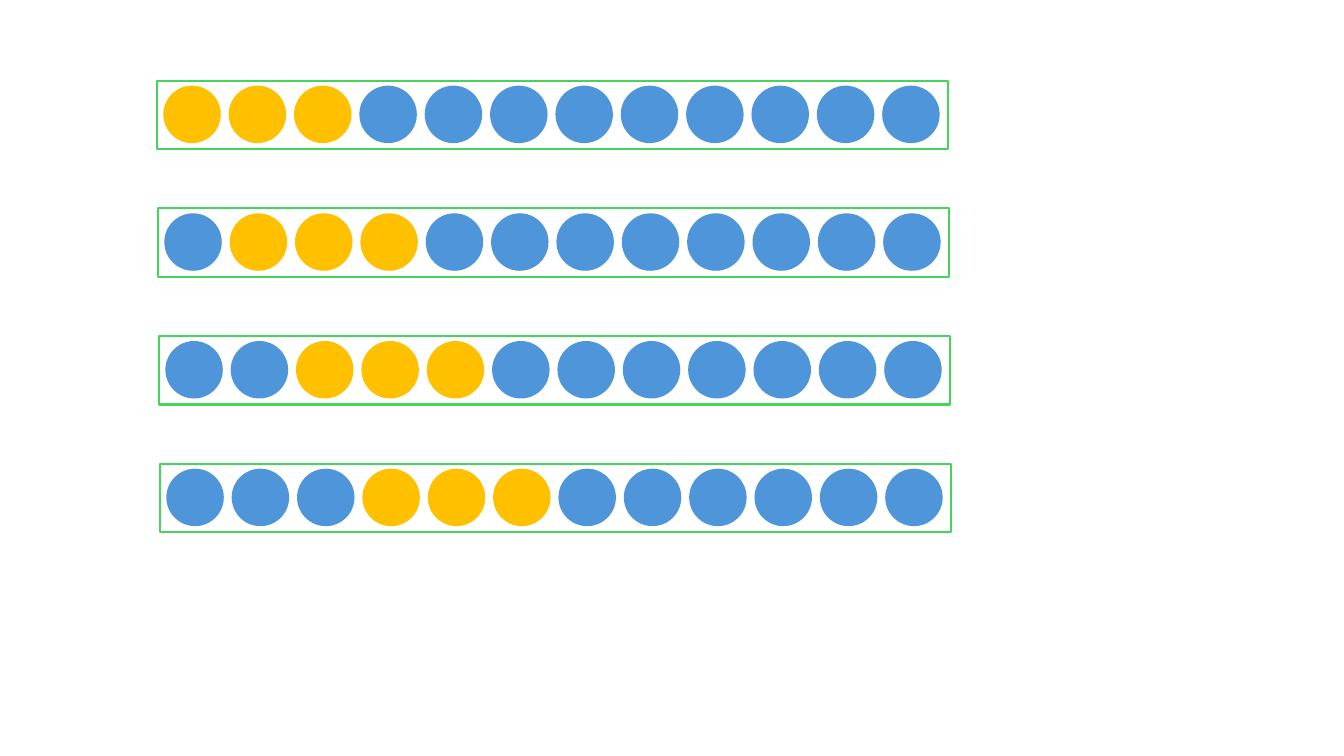
from pptx import Presentation
from pptx.dml.color import RGBColor
from pptx.enum.shapes import MSO_SHAPE
from pptx.util import Inches, Pt

RECT, OVAL = MSO_SHAPE.RECTANGLE, MSO_SHAPE.OVAL

GREEN = RGBColor(0x47, 0xD4, 0x5A)
AMBER = RGBColor(0xFF, 0xC0, 0x00)
BLUE = RGBColor(0x4E, 0x95, 0xD9)

ROWS, COLS, WINDOW = 4, 12, 3


class WindowGrid:
    """Grid of framed dot rows, each row a step further right."""

    left, top = 1.56, 0.8
    row_step, row_shift = 3.8 / (ROWS - 1), 0.01
    col_step = 7.13 / (COLS - 1)
    frame_width, frame_height = 7.84, 0.68
    dot_size, pad_x, pad_y = 0.57, 0.06, 0.05
    line_width = Pt(1.5)

    def __init__(self, slide):
        self.s = slide

    def shape(self, kind, row, x, y, w, h):
        """Add a plain shape, offset x, y from the corner of its row."""
        left = self.left + row * self.row_shift + x
        top = self.top + row * self.row_step + y
        sp = self.s.shapes.add_shape(
            kind, Inches(left), Inches(top), Inches(w), Inches(h))
        sp.shadow.inherit = False
        return sp

    def frame(self, row):
        sp = self.shape(RECT, row, 0, 0, self.frame_width, self.frame_height)
        sp.fill.background()
        sp.line.color.rgb = GREEN
        sp.line.width = self.line_width

    def dot(self, row, col, color):
        x = self.pad_x + col * self.col_step
        sp = self.shape(OVAL, row, x, self.pad_y, self.dot_size, self.dot_size)
        sp.fill.solid()
        sp.fill.fore_color.rgb = color
        sp.line.fill.background()


def main():
    prs = Presentation()
    prs.slide_width, prs.slide_height = Inches(13.33), Inches(7.5)
    grid = WindowGrid(prs.slides.add_slide(prs.slide_layouts[6]))
    for row in range(ROWS):
        grid.frame(row)
        for col in range(COLS):
            in_window = row <= col < row + WINDOW
            grid.dot(row, col, AMBER if in_window else BLUE)
    prs.save("out.pptx")


if __name__ == "__main__":
    main()
